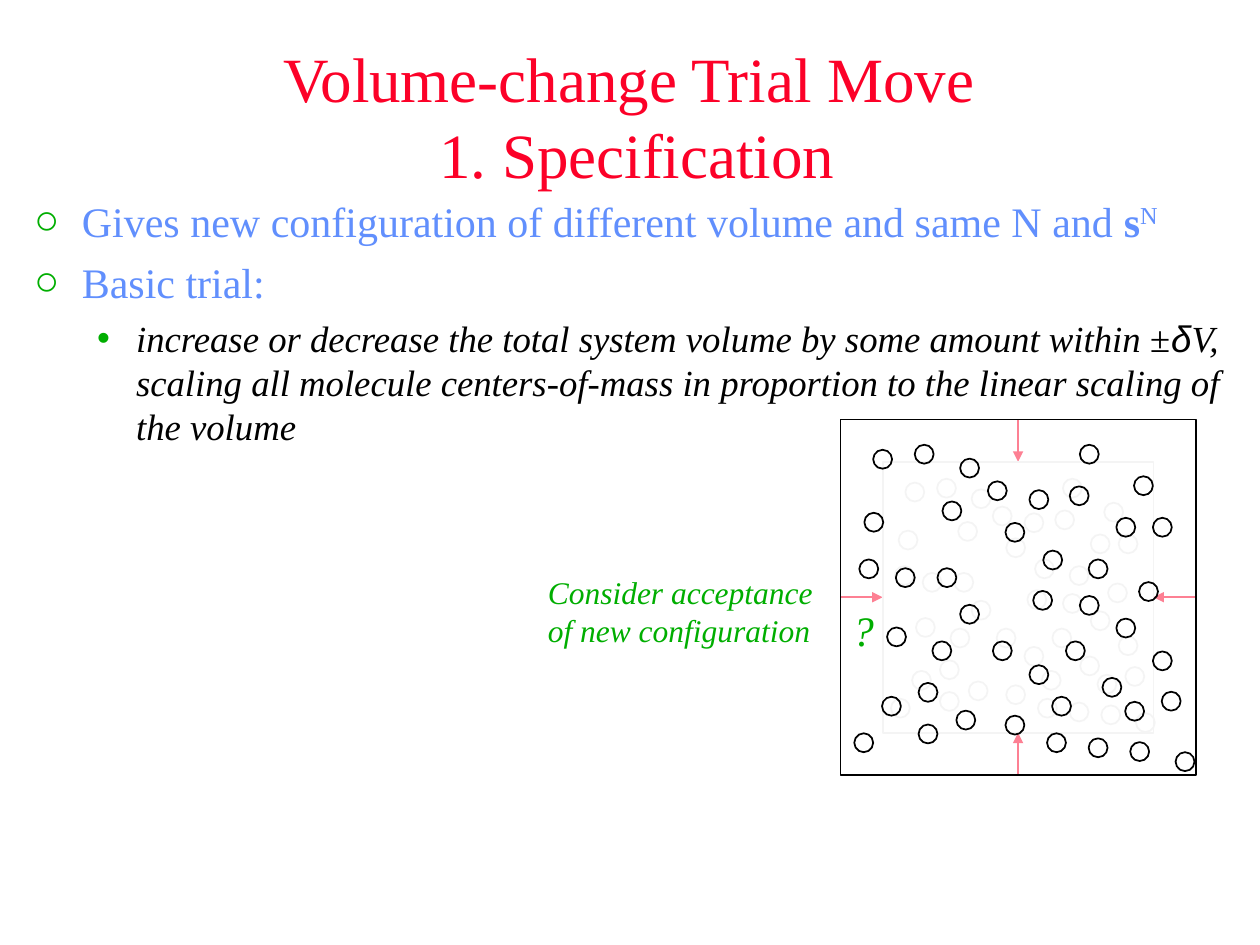
from lxml.etree import SubElement
from pptx import Presentation
from pptx.dml.color import RGBColor
from pptx.enum.shapes import MSO_CONNECTOR, MSO_SHAPE
from pptx.enum.text import MSO_ANCHOR, MSO_AUTO_SIZE, PP_ALIGN
from pptx.oxml.ns import qn
from pptx.util import Inches, Pt

COLORS = {"red": "FC0128", "blue": "618FFD", "green": "00AE00",
          "black": "000000", "white": "FFFFFF", "faint": "EAEAEA"}
FONT = "Times New Roman"

TITLE = "Volume-change Trial Move \v1. Specification"
HEAD = {"size": 24, "color": "blue"}
SUB = {"size": 21, "color": "black", "italic": True}
BODY = [
    (0, [("Gives new configuration of different volume and same N and ", HEAD),
         ("s", {**HEAD, "bold": True}),
         ("N", {**HEAD, "baseline": 30})]),
    (0, [("Basic trial:", HEAD)]),
    (1, [("increase or decrease the total system volume by some amount within ±", SUB),
         ("δ", {**SUB, "name": "Arial"}),
         ("V, scaling all molecule centers-of-mass in proportion to "
          "the linear scaling of the volume", SUB)]),
]
LEVELS = [
    {"bullet": "○", "margin": 0.38, "hang": 0.38, "before": 6},
    {"bullet": "•", "margin": 0.81, "hang": 0.31, "before": 5.2},
]
NOTES = [
    ("Consider acceptance of new configuration", (4.25, 4.5, 2.33, 0.7), 18, True),
    ("?", (6.67, 4.75, 0.36, 0.5), 24, False),
]

BOX_LEFT, BOX_TOP, BOX_SIDE = 6.67, 3.33, 2.82
SMALL_SIDE = 2.15
DIAMETER = 0.15
MOLECULES = [
    (6.93, 3.57), (7.26, 3.53), (6.86, 4.07), (7.62, 3.64), (7.44, 4.51),
    (8.17, 3.89), (7.4, 5.09), (8.46, 5.09), (8.86, 4.11), (9.04, 4.62),
    (9.15, 5.17), (8.35, 5.53), (8.97, 5.89), (7.98, 5.68), (8.2, 4.69),
    (7.11, 4.51), (7.59, 5.64), (8.75, 5.38), (8.86, 4.91), (9.15, 4.11),
    (8.64, 4.44), (9, 3.78), (8.57, 4.73), (8.17, 5.28), (7.29, 5.42),
    (7.29, 5.75), (8.31, 5.82), (7.04, 4.98), (8.28, 4.37), (8.57, 3.53),
    (6.78, 5.82), (6.82, 4.44), (7.48, 3.98), (7.84, 3.82), (7.98, 4.15),
    (7.62, 4.8), (8.93, 5.57), (8.49, 3.86), (8.64, 5.86), (9.33, 5.97),
    (7, 5.53), (9.22, 5.49), (7.88, 5.09),
]


def rgb(name):
    return RGBColor.from_string(COLORS[name])


def place(sp, box):
    for key, value in zip(("left", "top", "width", "height"), box):
        setattr(sp, key, Inches(value))


def format_run(r, size, color, baseline=0, **font):
    values = {"name": FONT, "size": Pt(size), "bold": False, "italic": False, **font}
    for key, value in values.items():
        setattr(r.font, key, value)
    r.font.color.rgb = rgb(color)
    if baseline:
        r.font._element.set("baseline", str(baseline * 1000))


def format_frame(tf, **values):
    for key, value in values.items():
        setattr(tf, key, value)


def add_outline(s, kind, box, color):
    sp = s.shapes.add_shape(kind, *map(Inches, box))
    sp.shadow.inherit = False
    sp.fill.background()
    sp.line.color.rgb = rgb(color)
    sp.line.width = Pt(1)
    return sp


def add_molecules(s, scale, color):
    center = (BOX_LEFT + BOX_SIDE / 2, BOX_TOP + BOX_SIDE / 2)
    for corner in MOLECULES:
        x, y = (c + (v + DIAMETER / 2 - c) * scale - DIAMETER / 2
                for v, c in zip(corner, center))
        add_outline(s, MSO_SHAPE.OVAL, (x, y, DIAMETER, DIAMETER), color)


def add_arrow(s):
    cx = s.shapes.add_connector(MSO_CONNECTOR.STRAIGHT, 0, 0, 0, 0)
    cx.line.color.rgb = rgb("red")
    cx.line.width = Pt(1)
    SubElement(cx.line._get_or_add_ln(), qn("a:headEnd"), type="triangle")
    SubElement(cx._element.spPr, qn("a:effectLst"))
    return cx


def add_body(sp):
    place(sp, (0.17, 1.5, 9.75, 4.5))
    tf = sp.text_frame
    format_frame(tf, auto_size=MSO_AUTO_SIZE.NONE, vertical_anchor=MSO_ANCHOR.TOP)
    for i, (level, runs) in enumerate(BODY):
        p = tf.add_paragraph() if i else tf.paragraphs[0]
        style = LEVELS[level]
        p.level = level
        p.space_before = Pt(style["before"])
        pPr = p._p.get_or_add_pPr()
        pPr.set("marL", str(Inches(style["margin"])))
        pPr.set("indent", str(-Inches(style["hang"])))
        SubElement(SubElement(pPr, qn("a:buClr")), qn("a:srgbClr"), val=COLORS["green"])
        SubElement(pPr, qn("a:buChar"), char=style["bullet"])
        for text, font in runs:
            r = p.add_run()
            r.text = text
            format_run(r, **font)


def add_diagram(s):
    arrows = [add_arrow(s) for _ in range(4)]
    inset = (BOX_SIDE - SMALL_SIDE) / 2
    small = add_outline(s, MSO_SHAPE.RECTANGLE,
                        (BOX_LEFT + inset, BOX_TOP + inset, SMALL_SIDE, SMALL_SIDE), "faint")
    add_molecules(s, SMALL_SIDE / BOX_SIDE, "faint")
    large = add_outline(s, MSO_SHAPE.RECTANGLE,
                        (BOX_LEFT, BOX_TOP, BOX_SIDE, BOX_SIDE), "black")
    large.fill.solid()
    large.fill.fore_color.rgb = rgb("white")
    tint = large._element.spPr.find(qn("a:solidFill")).find(qn("a:srgbClr"))
    SubElement(tint, qn("a:alpha"), val="50000")
    add_molecules(s, 1, "black")
    for side, cx in enumerate(arrows):
        cx.begin_connect(small, side)
        cx.end_connect(large, side)


def main():
    prs = Presentation()
    prs.slide_width, prs.slide_height = Inches(10), Inches(7.5)
    s = prs.slides.add_slide(prs.slide_layouts[1])

    title = s.shapes.title
    place(title, (0.75, 0.42, 8.61, 0.99))
    tf = title.text_frame
    tf.text = TITLE
    format_frame(tf, auto_size=MSO_AUTO_SIZE.NONE, vertical_anchor=MSO_ANCHOR.MIDDLE)
    tf.paragraphs[0].alignment = PP_ALIGN.CENTER
    for r in tf.paragraphs[0].runs:
        format_run(r, 36, "red")

    add_body(s.placeholders[1])
    add_diagram(s)

    for text, box, size, wrap in NOTES:
        tf = s.shapes.add_textbox(*map(Inches, box)).text_frame
        format_frame(tf, word_wrap=wrap, text=text)
        format_run(tf.paragraphs[0].runs[0], size, "green", italic=True)

    prs.save("out.pptx")


if __name__ == "__main__":
    main()
